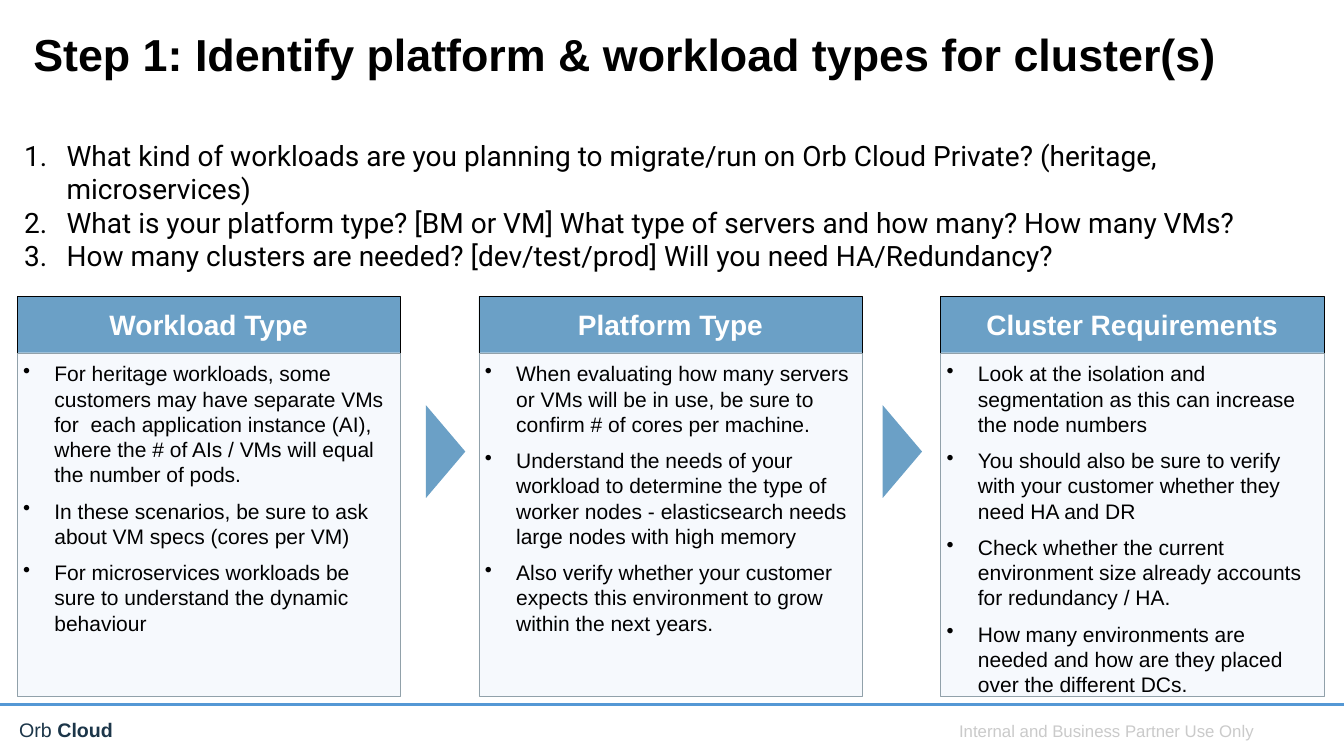
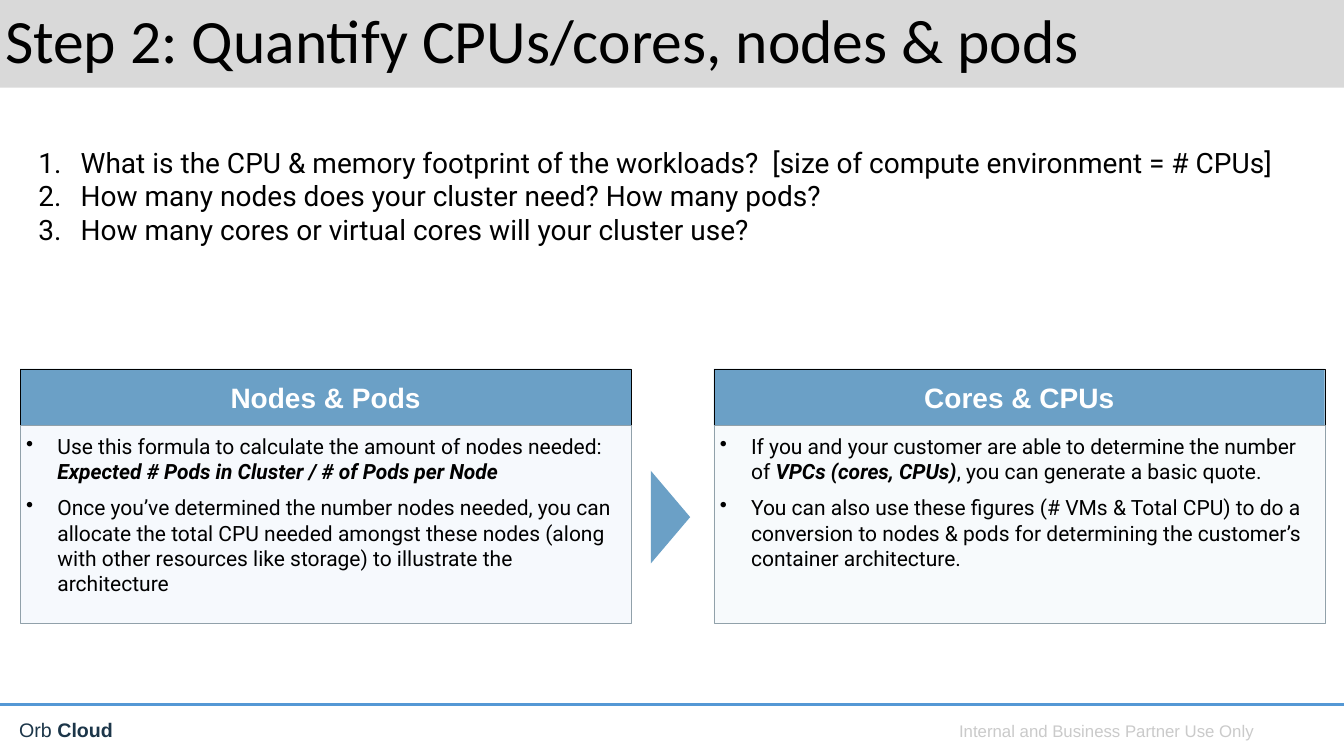
from dataclasses import dataclass

from lxml import etree
from pptx import Presentation
from pptx.dml.color import RGBColor
from pptx.enum.shapes import MSO_CONNECTOR, MSO_SHAPE
from pptx.enum.text import MSO_ANCHOR, MSO_AUTO_SIZE, PP_ALIGN
from pptx.oxml.ns import qn
from pptx.util import Inches, Pt

RECTANGLE = MSO_SHAPE.RECTANGLE
TRIANGLE = MSO_SHAPE.ISOSCELES_TRIANGLE
STRAIGHT = MSO_CONNECTOR.STRAIGHT
TOP, MIDDLE = MSO_ANCHOR.TOP, MSO_ANCHOR.MIDDLE
LEFT, CENTER, RIGHT = PP_ALIGN.LEFT, PP_ALIGN.CENTER, PP_ALIGN.RIGHT
NO_AUTOFIT = MSO_AUTO_SIZE.NONE


@dataclass(frozen=True)
class Theme:
    black: str = "000000"
    white: str = "FFFFFF"
    band: str = "D9D9D9"
    accent: str = "6BA0C6"
    tint: str = "5592DA"
    panel_line: str = "91A1AA"
    rule: str = "5498D5"
    brand: str = "1C3649"
    notice: str = "CACACA"
    sans: str = "Arial"
    list_font: str = "Roboto"
    heading_size: int = 20
    question_size: int = 20
    point_size: int = 15
    brand_size: int = 14
    notice_size: int = 12


THEME = Theme()
HEADER_HEIGHT = 0.56
ARROW_WIDTH, ARROW_HEIGHT = 0.92, 0.39

SLIDES = [
    {
        "title": "Step 1: Identify platform & workload types for cluster(s)",
        "title_box": (0.28, 0.28, 12.43, 0.57),
        "title_font": (THEME.sans, 32, True),
        "title_fill": None,
        "questions_box": (0.14, 1.32, 12.94, 1.6),
        "questions": [
            "What kind of workloads are you planning to migrate/run on Orb Cloud Private? (heritage, microservices)",
            "What is your platform type? [BM or VM] What type of servers and how many? How many VMs?",
            "How many clusters are needed? [dev/test/prod] Will you need HA/Redundancy?",
        ],
        "panel_left": 0.17,
        "panel_top": 2.94,
        "panel_width": 3.8,
        "panel_step": 4.58,
        "points_height": 3.41,
        "points_font": THEME.sans,
        "arrow_centers": [4.42, 8.95],
        "arrow_middle": 4.48,
        "panels": [
            ("Workload Type", THEME.tint, [
                "For heritage workloads, some customers may have separate VMs for  each application instance (AI), where the # of AIs / VMs will equal the number of pods.",
                "In these scenarios, be sure to ask about VM specs (cores per VM)",
                "For microservices workloads be sure to understand the dynamic behaviour",
            ]),
            ("Platform Type", THEME.tint, [
                "When evaluating how many servers or VMs will be in use, be sure to confirm # of cores per machine.",
                "Understand the needs of your workload to determine the type of worker nodes - elasticsearch needs large nodes with high memory",
                "Also verify whether your customer expects this environment to grow within the next years.",
            ]),
            ("Cluster Requirements", THEME.tint, [
                "Look at the isolation and segmentation as this can increase the node numbers",
                "You should also be sure to verify with your customer whether they need HA and DR",
                "Check whether the current environment size already accounts for redundancy / HA.",
                "How many environments are needed and how are they placed over the different DCs.",
            ]),
        ],
    },
    {
        "title": "Step 2: Quantify CPUs/cores, nodes & pods",
        "title_box": (0, 0, 13.33, 0.87),
        "title_font": ("Calibri", 44, False),
        "title_fill": THEME.band,
        "questions_box": (0.28, 1.39, 12.81, 1.11),
        "questions": [
            "What is the CPU & memory footprint of the workloads?  [size of compute environment = # CPUs]",
            "How many nodes does your cluster need? How many pods?",
            "How many cores or virtual cores will your cluster use?",
        ],
        "panel_left": 0.2,
        "panel_top": 3.66,
        "panel_width": 6.06,
        "panel_step": 6.88,
        "points_height": 1.96,
        "points_font": THEME.list_font,
        "arrow_centers": [6.65],
        "arrow_middle": 5.13,
        "panels": [
            ("Nodes & Pods", THEME.tint, [
                "Use this formula to calculate the amount of nodes needed: *Expected # Pods in Cluster / # of Pods per Node*",
                "Once you’ve determined the number nodes needed, you can allocate the total CPU needed amongst these nodes (along with other resources like storage) to illustrate the architecture",
            ]),
            ("Cores & CPUs", THEME.accent, [
                "If you and your customer are able to determine the number of *VPCs (cores, CPUs)*, you can generate a basic quote.",
                "You can also use these figures (# VMs & Total CPU) to do a conversion to nodes & pods for determining the customer’s container architecture.",
            ]),
        ],
    },
]


def format_text(frame, margins, font, size, color, alignment=LEFT, anchor=TOP,
                bold=False, bullet=None, indent=0, space_before=0, line_spacing=1.0):
    """Format a text frame; margins run left, top, right, bottom in inches."""
    frame.word_wrap = True
    frame.auto_size = NO_AUTOFIT
    frame.vertical_anchor = anchor
    frame.margin_left, frame.margin_top, frame.margin_right, frame.margin_bottom = map(Inches, margins)
    for index, paragraph in enumerate(frame.paragraphs):
        if bullet:
            tag, attribute, value = bullet
            properties = paragraph._p.get_or_add_pPr()
            properties.set("marL", str(Inches(indent)))
            properties.set("indent", str(-Inches(indent)))
            etree.SubElement(properties, qn(tag)).set(attribute, value)
        paragraph.alignment = alignment
        paragraph.line_spacing = line_spacing
        paragraph.space_before = Pt(space_before if index else 0)
        paragraph.font.name = font
        paragraph.font.size = Pt(size)
        paragraph.font.bold = bold
        paragraph.font.color.rgb = RGBColor.from_string(color)


def add_filled_shape(shapes, kind, box, fill, line=None, opacity=None):
    """Add a flat shape; opacity is a percentage."""
    shape = shapes.add_shape(kind, *map(Inches, box))
    shape.shadow.inherit = False
    shape.fill.solid()
    shape.fill.fore_color.rgb = RGBColor.from_string(fill)
    if opacity:
        fill_color = shape.element.spPr.find(".//" + qn("a:srgbClr"))
        etree.SubElement(fill_color, qn("a:alpha")).set("val", str(opacity * 1000))
    if line:
        shape.line.color.rgb = RGBColor.from_string(line)
        shape.line.width = Pt(0.25)
    else:
        shape.line.fill.background()
    return shape


presentation = Presentation()
presentation.slide_width = Inches(13.33)
presentation.slide_height = Inches(7.5)
layout = presentation.slide_layouts[1]
slides = [presentation.slides.add_slide(layout) for _ in SLIDES]

# Footer: drawn once, then moved to the master that all slides share
shapes = slides[0].shapes
brand = shapes.add_textbox(Inches(0.14), Inches(7.1), Inches(1.57), Inches(0.32))
brand_paragraph = brand.text_frame.paragraphs[0]
brand_paragraph.add_run().text = "Orb "
brand_name = brand_paragraph.add_run()
brand_name.text = "Cloud"
brand_name.font.bold = True
notice = shapes.add_textbox(Inches(8.5), Inches(7.12), Inches(3.99), Inches(0.29))
notice.text_frame.text = "Internal and Business Partner Use Only"
format_text(brand.text_frame, [0.05] * 4, THEME.sans, THEME.brand_size, THEME.brand, line_spacing=0.9)
format_text(notice.text_frame, [0.05] * 4, THEME.sans, THEME.notice_size, THEME.notice,
            alignment=RIGHT, line_spacing=0.9)
rule = shapes.add_connector(STRAIGHT, 0, Inches(6.99), presentation.slide_width, Inches(6.99))
rule.line.color.rgb = RGBColor.from_string(THEME.rule)
rule.line.width = Pt(2)
etree.SubElement(rule.element.spPr, qn("a:effectLst"))
for footer_part in (brand, notice, rule):
    presentation.slide_master.shapes.element.append(footer_part.element)

for slide, content in zip(slides, SLIDES):
    title, questions = slide.shapes.title, slide.placeholders[1]
    for placeholder, box in ((title, content["title_box"]), (questions, content["questions_box"])):
        placeholder.left, placeholder.top, placeholder.width, placeholder.height = map(Inches, box)

    title.text_frame.text = content["title"]
    font, size, bold = content["title_font"]
    format_text(title.text_frame, [0.05] * 4, font, size, THEME.black,
                anchor=MIDDLE, bold=bold, line_spacing=0.9)
    if content["title_fill"]:
        title.fill.solid()
        title.fill.fore_color.rgb = RGBColor.from_string(content["title_fill"])

    questions.text_frame.text = "\n".join(content["questions"])
    format_text(questions.text_frame, (0.1, 0.05, 0.1, 0.05), THEME.list_font,
                THEME.question_size, THEME.black,
                bullet=("a:buAutoNum", "type", "arabicPeriod"), indent=0.42)

    top, width = content["panel_top"], content["panel_width"]
    for column, (heading, tint, points) in enumerate(content["panels"]):
        left = content["panel_left"] + column * content["panel_step"]
        panel = slide.shapes.add_group_shape()
        header = add_filled_shape(panel.shapes, RECTANGLE, (left, top, width, HEADER_HEIGHT),
                                  THEME.accent, THEME.black)
        header.text_frame.text = heading
        format_text(header.text_frame, (0.1, 0.05, 0.1, 0.05), THEME.sans, THEME.heading_size,
                    THEME.white, alignment=CENTER, anchor=MIDDLE, bold=True)
        body = add_filled_shape(panel.shapes, RECTANGLE,
                                (left, top + HEADER_HEIGHT, width, content["points_height"]),
                                tint, THEME.panel_line, opacity=5)
        frame = body.text_frame
        for index, point in enumerate(points):
            paragraph = frame.add_paragraph() if index else frame.paragraphs[0]
            # Text between asterisks is bold italic
            for part, text in enumerate(point.split("*")):
                if text:
                    run = paragraph.add_run()
                    run.text = text
                    if part % 2:
                        run.font.bold = run.font.italic = True
        format_text(frame, (0.06, 0.08, 0.1, 0.08), content["points_font"], THEME.point_size,
                    THEME.black, bullet=("a:buChar", "char", "•"), indent=0.31, space_before=8)

    for center in content["arrow_centers"]:
        arrow = add_filled_shape(slide.shapes, TRIANGLE,
                                 (center - ARROW_WIDTH / 2, content["arrow_middle"] - ARROW_HEIGHT / 2,
                                  ARROW_WIDTH, ARROW_HEIGHT), THEME.accent)
        arrow.rotation = 90

presentation.save("out.pptx")
